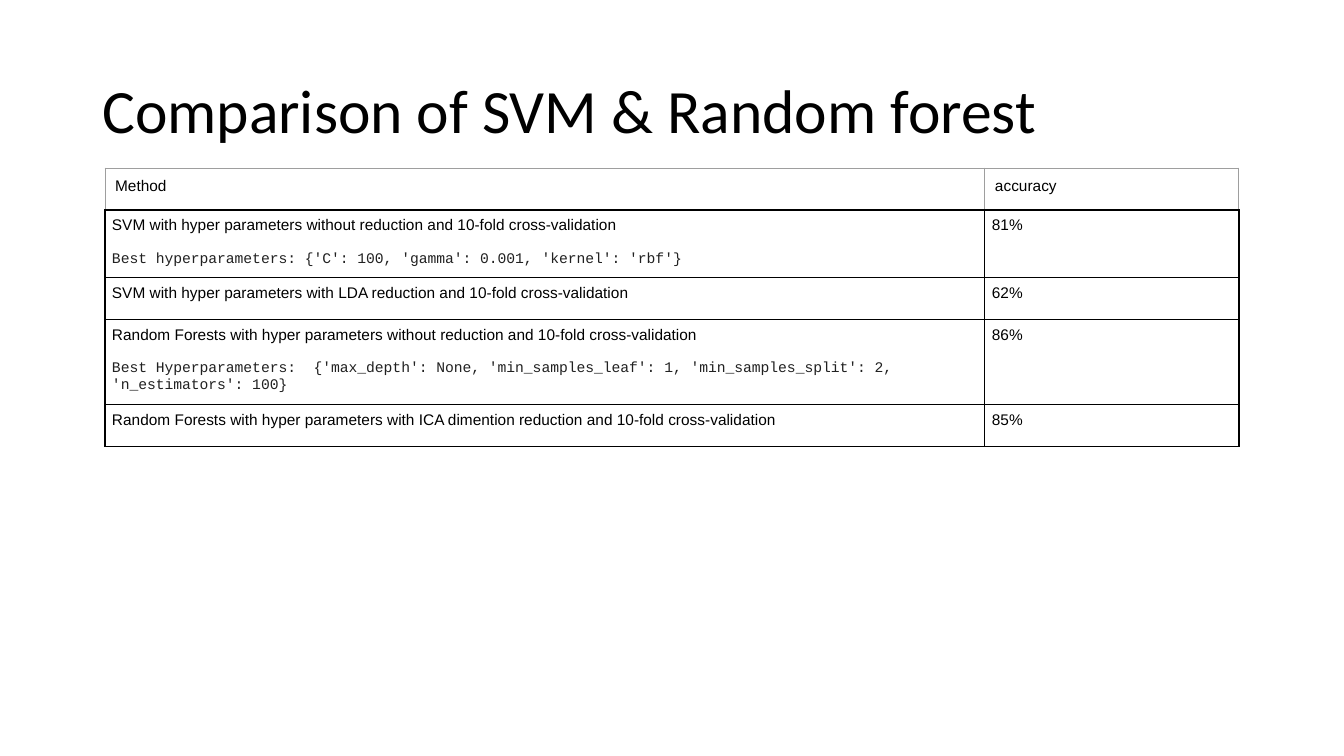
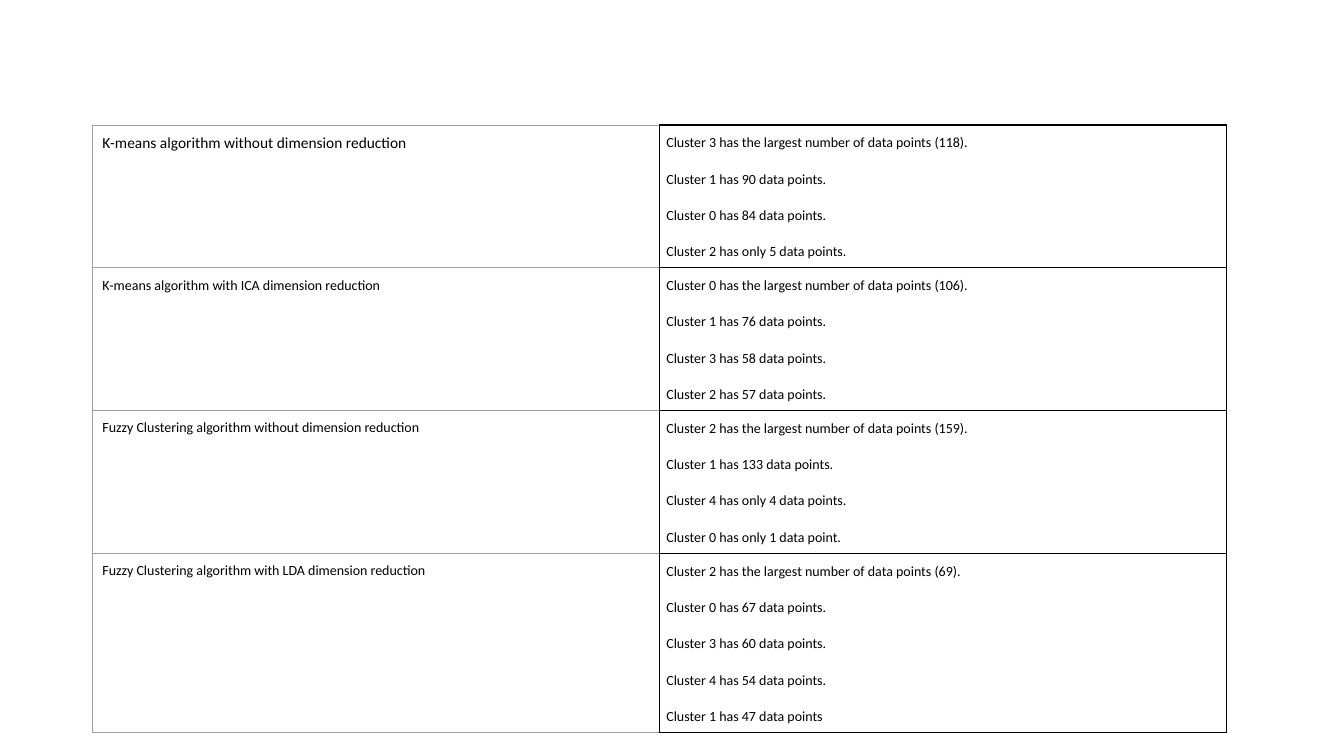
"""Build two slides that compare classifiers and clusterings."""
import pptx
import pptx.util
import pptx.dml.color
import pptx.enum.text
import pptx.oxml

Pt = pptx.util.Pt
BLACK, GREY, CODE = "000000", "9E9E9E", "212121"
WIDE, TIGHT = 7.2, 5
TITLE = "Comparison of SVM & Random forest"
HEAD = ("Method", "accuracy")
SCORES = [
    (["SVM with hyper parameters without reduction and 10-fold cross-validation",
      "Best hyperparameters: {'C': 100, 'gamma': 0.001, 'kernel': 'rbf'}"],
     "81%", 46.4),
    (["SVM with hyper parameters with LDA reduction and 10-fold cross-validation"],
     "62%", 30),
    (["Random Forests with hyper parameters without reduction and 10-fold cross-validation",
      "Best Hyperparameters:  {'max_depth': None, 'min_samples_leaf': 1, "
      "'min_samples_split': 2, 'n_estimators': 100}"],
     "86%", 58),
    (["Random Forests with hyper parameters with ICA dimention reduction "
      "and 10-fold cross-validation"],
     "85%", 30),
]
GROUPS = [
    ("K-means algorithm without dimension reduction", 11, [
        "Cluster 3 has the largest number of data points (118).",
        "Cluster 1 has 90 data points.",
        "Cluster 0 has 84 data points.",
        "Cluster 2 has only 5 data points."]),
    ("K-means algorithm with ICA dimension reduction", 10, [
        "Cluster 0 has the largest number of data points (106).",
        "Cluster 1 has 76 data points.",
        "Cluster 3 has 58 data points.",
        "Cluster 2 has 57 data points."]),
    ("Fuzzy Clustering algorithm without dimension reduction", 10, [
        "Cluster 2 has the largest number of data points (159).",
        "Cluster 1 has 133 data points.",
        "Cluster 4 has only 4 data points.",
        "Cluster 0 has only 1 data point."]),
    ("Fuzzy Clustering algorithm with LDA dimension reduction", 10, [
        "Cluster 2 has the largest number of data points (69).",
        "Cluster 0 has 67 data points.",
        "Cluster 3 has 60 data points.",
        "Cluster 4 has 54 data points.",
        "Cluster 1 has 47 data points"]),
]


def color(text):
    return pptx.dml.color.RGBColor.from_string(text)


def style(para, size, face, tint=BLACK, line=None, gap=0):
    para.line_spacing = line
    para.space_before = Pt(gap)
    for run in para.runs:
        run.font.size = Pt(size)
        run.font.name = face
        run.font.color.rgb = color(tint)


def border(cell, tints):
    props = cell._tc.get_or_add_tcPr()
    for spot, (side, tint) in enumerate(zip("LRTB", tints)):
        width = Pt(0.75 if tint == GREY else 1)
        props.insert(spot, pptx.oxml.parse_xml(
            '<a:ln%s xmlns:a="http://schemas.openxmlformats.org/drawingml/2006/main" '
            'w="%d"><a:solidFill><a:srgbClr val="%s"/></a:solidFill></a:ln%s>'
            % (side, width, tint, side)))


def fill(cell, lines, inset, tints):
    cell.text_frame.text = "\n".join(lines)
    cell.margin_left = cell.margin_right = Pt(inset)
    cell.margin_top = cell.margin_bottom = Pt(inset)
    cell.fill.background()
    border(cell, tints)
    return cell.text_frame.paragraphs


def grid(slide, left, top, widths, heights):
    table = slide.shapes.add_table(
        len(heights), len(widths), Pt(left), Pt(top),
        Pt(sum(widths)), Pt(sum(heights))).table
    table.first_row = table.horz_banding = False
    for col, width in zip(table.columns, widths):
        col.width = Pt(width)
    for row, height in zip(table.rows, heights):
        row.height = Pt(height)
    return table


def heading(slide, text):
    box = slide.shapes.add_textbox(Pt(66), Pt(28.8), Pt(828), Pt(104.4))
    frame = box.text_frame
    frame.word_wrap = True
    frame.vertical_anchor = pptx.enum.text.MSO_ANCHOR.MIDDLE
    frame.text = text
    style(frame.paragraphs[0], 44, "Calibri", line=0.9)


def compare(slide):
    heading(slide, TITLE)
    heights = [30] + [height for _, _, height in SCORES]
    table = grid(slide, 75, 120, [628.5, 181.5], heights)
    for col, text in enumerate(HEAD):
        paras = fill(table.cell(0, col), [text], WIDE, [GREY, GREY, GREY, BLACK])
        style(paras[0], 11, "Arial")
    for row, (lines, score, _) in enumerate(SCORES, 1):
        for col, texts in enumerate((lines, [score])):
            paras = fill(table.cell(row, col), texts, TIGHT, [BLACK] * 4)
            style(paras[0], 11, "Arial")
            for para in paras[1:]:
                style(para, 10.5, "Courier New", CODE, gap=12.4)


def cluster(slide):
    heights = [26 * len(lines) - 2 for _, _, lines in GROUPS]
    table = grid(slide, 66, 89.3, [405, 405], heights)
    for row, (name, size, lines) in enumerate(GROUPS):
        paras = fill(table.cell(row, 0), [name], WIDE, [GREY, BLACK, GREY, GREY])
        style(paras[0], size, "Calibri", line=0.9)
        paras = fill(table.cell(row, 1), lines, TIGHT, [BLACK] * 4)
        for spot, para in enumerate(paras):
            style(para, 10, "Calibri", line=1.15, gap=12 if spot else 0)


def main():
    deck = pptx.Presentation()
    deck.slide_width, deck.slide_height = Pt(960), Pt(540)
    for build in (compare, cluster):
        build(deck.slides.add_slide(deck.slide_layouts[6]))
    deck.save("out.pptx")


if __name__ == "__main__":
    main()
